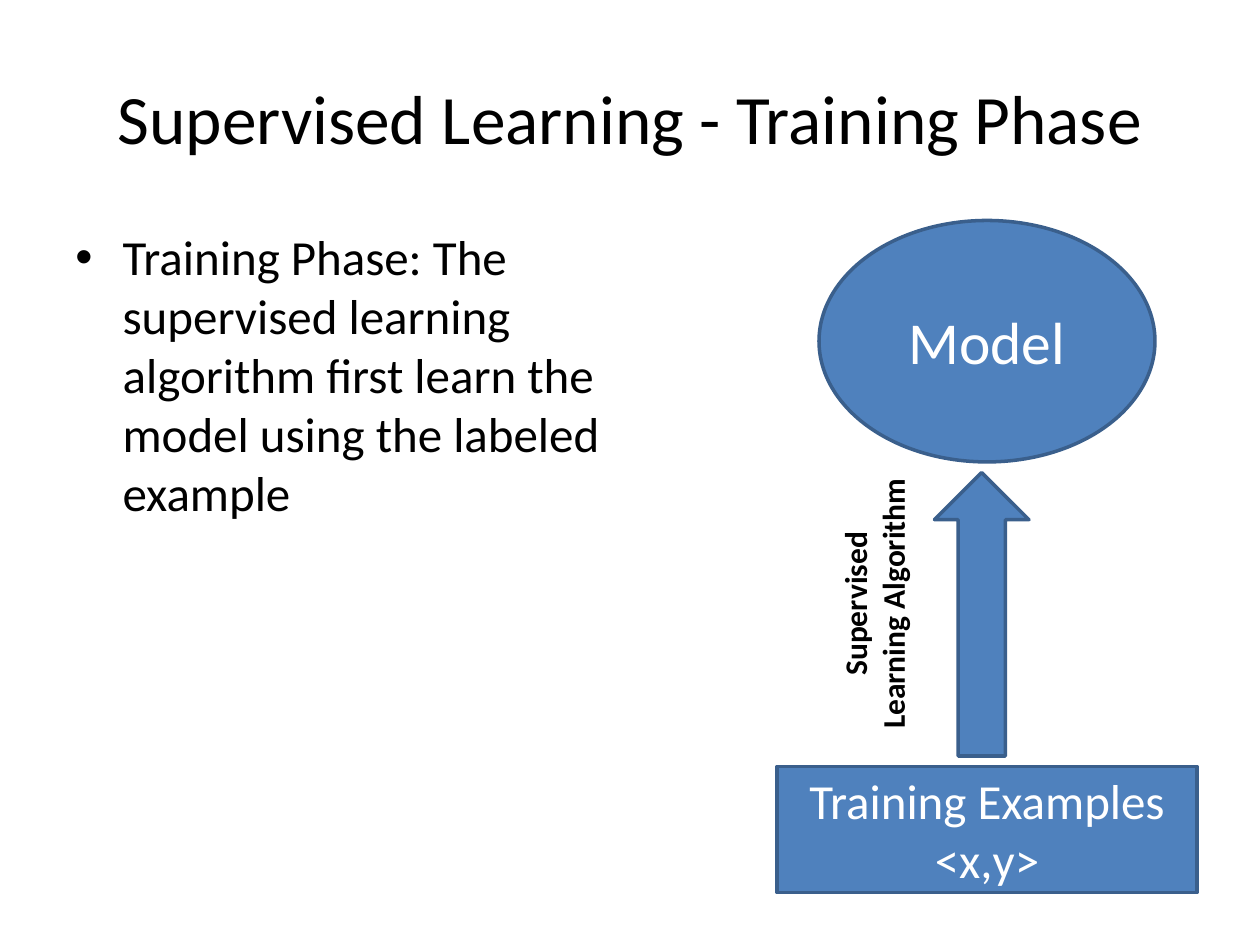
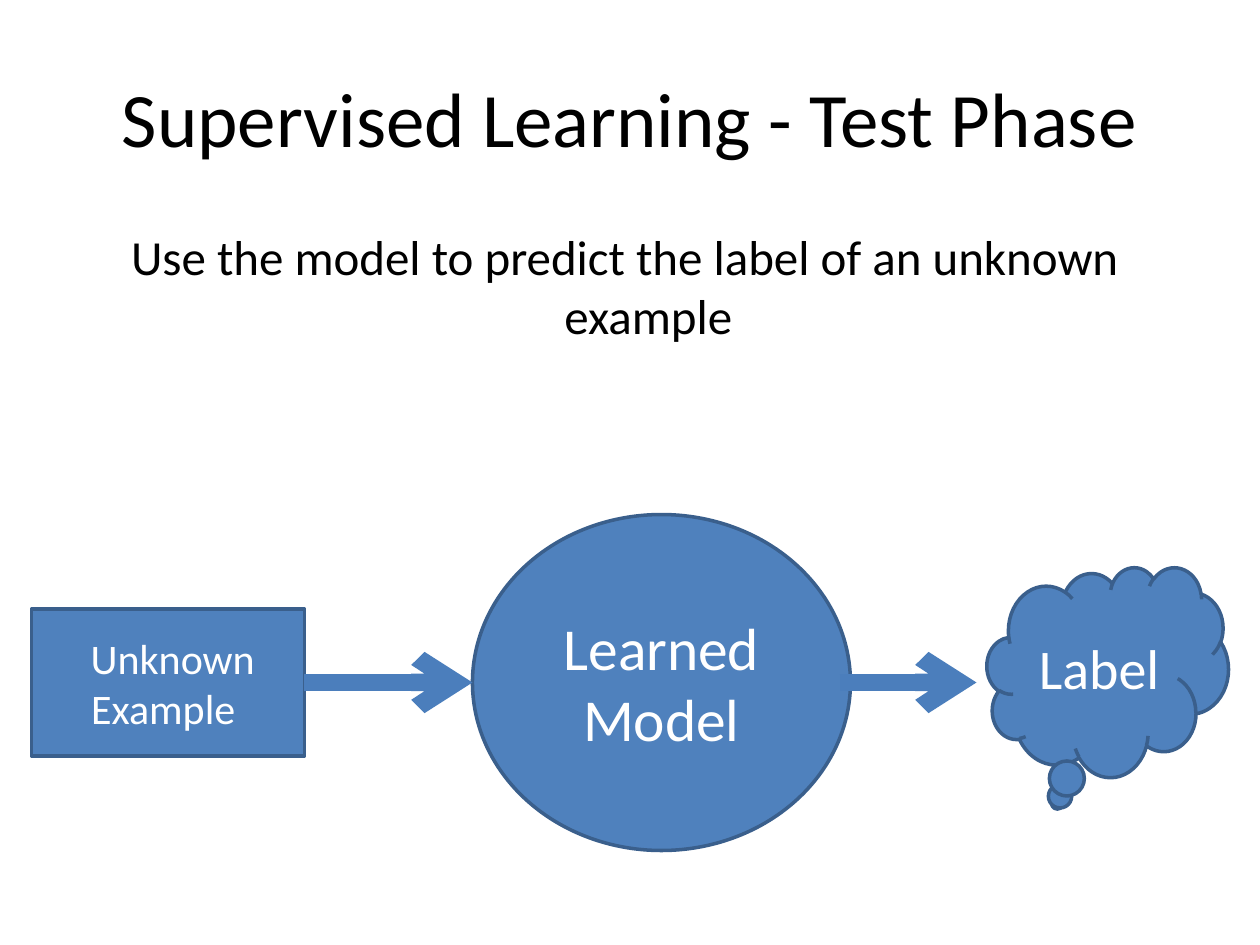
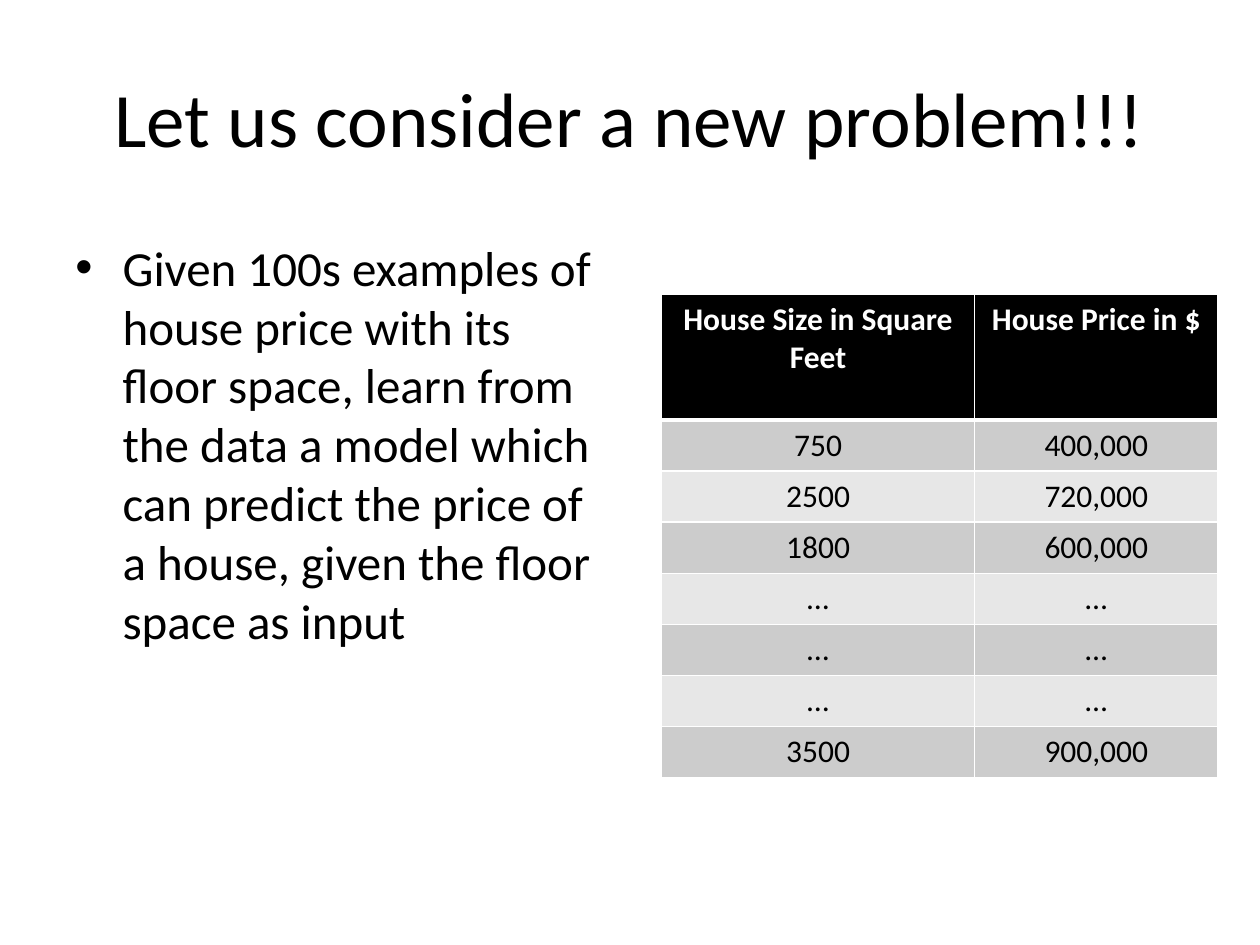
import lxml.etree
import pptx
import pptx.dml.color
import pptx.enum.shapes
import pptx.enum.text
import pptx.oxml
import pptx.oxml.ns
import pptx.util

Pt = pptx.util.Pt
RGBColor = pptx.dml.color.RGBColor
SHAPE = pptx.enum.shapes.MSO_SHAPE
ALIGN = pptx.enum.text.PP_ALIGN
ANCHOR = pptx.enum.text.MSO_ANCHOR
qn = pptx.oxml.ns.qn

BLUE = RGBColor(0x4F, 0x81, 0xBD)
OUTLINE = RGBColor(0x3A, 0x5F, 0x8C)
FLOW = RGBColor(0x4B, 0x7E, 0xBC)
WHITE = RGBColor(0xFF, 0xFF, 0xFF)
BLACK = RGBColor(0, 0, 0)
BANDS = [RGBColor(0xE7, 0xE7, 0xE7), RGBColor(0xCC, 0xCC, 0xCC)]
FONT = "Calibri"
INDENT = 27


class Deck:
    def __init__(self):
        self.presentation = pptx.Presentation()
        self.presentation.slide_width = Pt(720)
        self.presentation.slide_height = Pt(540)
        self.slide = None

    def add_slide(self, title, size=44):
        self.slide = self.presentation.slides.add_slide(self.presentation.slide_layouts[6])
        frame = self.text_box(36, 21.6, 648, 90)
        frame.vertical_anchor = ANCHOR.MIDDLE
        self.set_text(frame, title, size)

    def text_box(self, left, top, width, height):
        box = self.slide.shapes.add_textbox(Pt(left), Pt(top), Pt(width), Pt(height))
        box.text_frame.word_wrap = True
        return box.text_frame

    def set_text(self, frame, text, size, color=BLACK, bold=False, align=ALIGN.CENTER):
        paragraph = frame.paragraphs[0]
        paragraph.text = text
        paragraph.alignment = align
        paragraph.font.name = FONT
        paragraph.font.size = Pt(size)
        paragraph.font.bold = bold
        paragraph.font.color.rgb = color

    def body(self, text, top=126, width=318, bullet=True):
        frame = self.text_box(36, top, width, 356.4)
        properties = frame.paragraphs[0]._p.get_or_add_pPr()
        properties.set("marL", str(Pt(INDENT)))
        properties.set("indent", str(-Pt(INDENT)))
        if bullet:
            lxml.etree.SubElement(properties, qn("a:buFont"), typeface="Arial")
            lxml.etree.SubElement(properties, qn("a:buChar"), char="•")
        self.set_text(frame, text, 28, align=ALIGN.LEFT if bullet else ALIGN.CENTER)

    def vertical_label(self, text, left, top, width, height):
        frame = self.text_box(left, top, width, height)
        frame._txBody.bodyPr.set("vert", "vert270")
        self.set_text(frame, text, 18, bold=True)

    def block(self, kind, left, top, width, height, text="", size=28):
        shape = self.slide.shapes.add_shape(kind, Pt(left), Pt(top), Pt(width), Pt(height))
        shape.shadow.inherit = False
        shape.fill.solid()
        shape.fill.fore_color.rgb = BLUE
        shape.line.color.rgb = OUTLINE
        shape.line.width = Pt(2)
        if text:
            shape.text_frame.word_wrap = True
            shape.text_frame.vertical_anchor = ANCHOR.MIDDLE
            self.set_text(shape.text_frame, text, size, WHITE)
        return shape

    def flow(self, start, end, y, source=None):
        connector = self.slide.shapes.add_connector(
            pptx.enum.shapes.MSO_CONNECTOR.STRAIGHT, Pt(start), Pt(y), Pt(end), Pt(y))
        if source is not None:
            connector.begin_connect(source, 3)
        connector.line.color.rgb = FLOW
        connector.line.width = Pt(10)
        line = connector.line._get_or_add_ln()
        lxml.etree.SubElement(line, qn("a:tailEnd"), type="arrow")
        lxml.etree.SubElement(connector._element.spPr, qn("a:effectLst"))

    def border(self, cell, side, width):
        properties = cell._tc.get_or_add_tcPr()
        line = lxml.etree.SubElement(properties, qn("a:ln" + side), w=str(Pt(width)))
        fill = lxml.etree.SubElement(line, qn("a:solidFill"))
        lxml.etree.SubElement(fill, qn("a:srgbClr"), val=str(WHITE))

    def table(self, rows, left, top, widths, heights):
        table = self.slide.shapes.add_table(
            len(rows), len(widths), Pt(left), Pt(top), Pt(sum(widths)), Pt(sum(heights))).table
        for column, width in zip(table.columns, widths):
            column.width = Pt(width)
        for index, (values, height) in enumerate(zip(rows, heights)):
            header = index == 0
            table.rows[index].height = Pt(height)
            for column, value in enumerate(values):
                cell = table.cell(index, column)
                for side in "LRTB":
                    thick = (header and side == "B") or (index == 1 and side == "T")
                    self.border(cell, side, 3 if thick else 1)
                cell.fill.solid()
                cell.fill.fore_color.rgb = BLACK if header else BANDS[index % 2]
                self.set_text(cell.text_frame, value, 18, WHITE if header else BLACK, header)


def training_phase(deck):
    deck.add_slide("Supervised Learning - Training Phase", 39.6)
    deck.block(SHAPE.OVAL, 468, 126, 192, 138, "Model", 34)
    deck.block(SHAPE.UP_ARROW, 534, 270, 54, 162)
    deck.block(SHAPE.RECTANGLE, 444, 438, 240, 72, "Training Examples\n<x,y>")
    deck.body("Training Phase: The supervised learning algorithm first learn the model "
              "using the labeled example")
    deck.vertical_label("Supervised Learning Algorithm", 474, 264, 58, 162)


def test_phase(deck):
    deck.add_slide("Supervised Learning - Test Phase")
    deck.body("Use the model to predict the label of an unknown example", width=642, bullet=False)
    deck.block(SHAPE.OVAL, 270, 294, 216, 192, "Learned Model", 34)
    unknown = deck.block(SHAPE.RECTANGLE, 18, 348, 156, 84, " Unknown Example ", 24)
    deck.flow(174, 270, 390, unknown)
    deck.block(SHAPE.CLOUD_CALLOUT, 564, 324, 138, 120, "Label", 32)
    deck.flow(480, 558, 390)


def new_problem(deck):
    deck.add_slide("Let us consider a new problem!!!")
    houses = [("House Size in Square Feet", "House Price in $"),
              ("750", "400,000"), ("2500", "720,000"), ("1800", "600,000"),
              *[("…", "…")] * 3, ("3500", "900,000")]
    deck.table(houses, 378, 168, [179, 139], [72] + [29.2] * 7)
    deck.body("Given 100s examples of house price with its floor space, learn from the data "
              "a model which can predict the price of a house, given the floor space as input",
              top=132)


def main():
    deck = Deck()
    training_phase(deck)
    test_phase(deck)
    new_problem(deck)
    deck.presentation.save("out.pptx")


if __name__ == "__main__":
    main()
